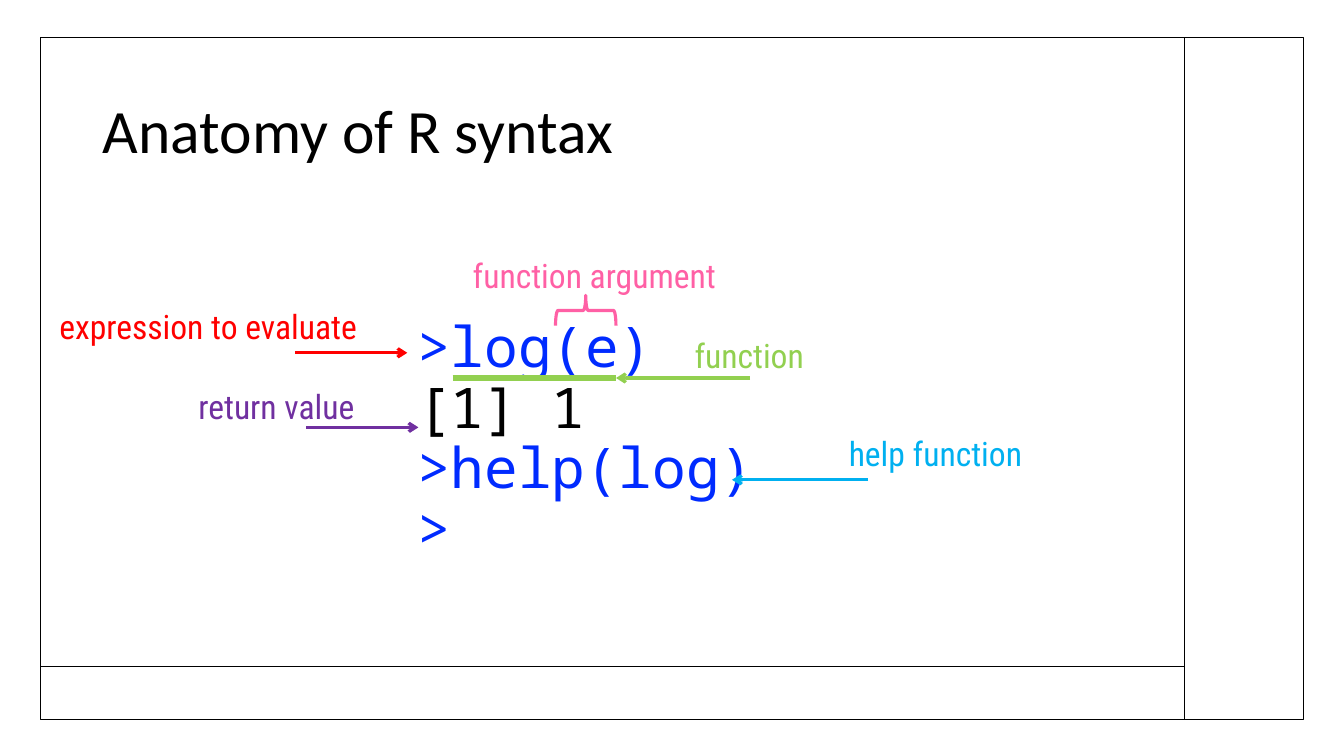
from pptx import Presentation
from pptx.dml.color import RGBColor
from pptx.enum.shapes import MSO_CONNECTOR, MSO_SHAPE
from pptx.enum.text import MSO_ANCHOR, MSO_AUTO_SIZE, PP_ALIGN
from pptx.oxml.ns import qn
from pptx.util import Inches, Pt
from lxml import etree

STRAIGHT = MSO_CONNECTOR.STRAIGHT
RECTANGLE, BRACE = MSO_SHAPE.RECTANGLE, MSO_SHAPE.RIGHT_BRACE
TOP, MIDDLE = MSO_ANCHOR.TOP, MSO_ANCHOR.MIDDLE
LEFT = PP_ALIGN.LEFT
FIXED, GROW = MSO_AUTO_SIZE.NONE, MSO_AUTO_SIZE.SHAPE_TO_FIT_TEXT

BLACK, BLUE, GREEN, RED = "000000", "002BFF", "92D050", "FF0000"
PINK, PURPLE, CYAN = "FF60A5", "7030A0", "00B0F0"
TITLE_FONT, CODE_FONT, LABEL_FONT = "Calibri", "Noto Sans Mono", "Roboto Condensed"


def rgb(value):
    return RGBColor.from_string(value)


class SyntaxSlide:
    def __init__(self, s):
        self.s = s

    def run(self, p, text, font, size, color):
        r = p.add_run()
        r.text = text
        r.font.name = font
        r.font.size = Pt(size)
        r.font.color.rgb = rgb(color)

    def placeholder(self, sp, box, anchor):
        """Move a placeholder and return its left-aligned first paragraph."""
        sp.left, sp.top, sp.width, sp.height = map(Inches, box)
        tf = sp.text_frame
        tf.word_wrap = True
        tf.auto_size = FIXED
        tf.vertical_anchor = anchor
        p = tf.paragraphs[0]
        p.alignment = LEFT
        p.line_spacing = 0.9
        return p

    def title(self, text, box):
        p = self.placeholder(self.s.shapes.title, box, MIDDLE)
        self.run(p, text, TITLE_FONT, 44, BLACK)

    def code(self, lines, box):
        p = self.placeholder(self.s.placeholders[1], box, TOP)
        p.space_before = Pt(10)
        pPr = p._p.get_or_add_pPr()
        pPr.set("marL", "0")
        pPr.set("indent", "0")
        etree.SubElement(pPr, qn("a:buNone"))
        for i, (text, color) in enumerate(lines):
            if i:
                p.add_line_break()
            self.run(p, text, CODE_FONT, 40, color)

    def outline(self, kind, box, color, width, rotation=0):
        sp = self.s.shapes.add_shape(kind, *map(Inches, box))
        sp.shadow.inherit = False
        sp.fill.background()
        sp.line.color.rgb = rgb(color)
        sp.line.width = Pt(width)
        sp.rotation = rotation

    def line(self, start, end, color, width, arrow=False):
        sp = self.s.shapes.add_connector(STRAIGHT, *map(Inches, start + end))
        sp.line.color.rgb = rgb(color)
        sp.line.width = Pt(width)
        if arrow:
            ln = sp.line._get_or_add_ln()
            etree.SubElement(ln, qn("a:tailEnd"), type="arrow")
        etree.SubElement(sp._element.spPr, qn("a:effectLst"))

    def label(self, text, left, top, width, color):
        sp = self.s.shapes.add_textbox(*map(Inches, (left, top, width, 0.5)))
        tf = sp.text_frame
        tf.word_wrap = False
        tf.auto_size = GROW
        self.run(tf.paragraphs[0], text, LABEL_FONT, 24, color)


def main():
    prs = Presentation()
    prs.slide_width, prs.slide_height = Inches(13.33), Inches(7.5)
    slide = SyntaxSlide(prs.slides.add_slide(prs.slide_layouts[1]))

    slide.outline(RECTANGLE, (0.4, 0.37, 12.53, 6.77), BLACK, 1)
    slide.line((11.75, 0.37), (11.75, 7.13), BLACK, 1)
    slide.line((0.41, 6.61), (11.75, 6.61), BLACK, 1)

    slide.title("Anatomy of R syntax", (0.92, 0.6, 10.38, 1.45))
    slide.code([(">log(e)", BLUE), ("[1] 1", BLACK), (">help(log)", BLUE), (">", BLUE)],
               (4.04, 3.12, 4.15, 3.28))

    slide.line((4.49, 3.75), (6.11, 3.75), GREEN, 4.5)
    slide.outline(BRACE, (5.66, 2.78, 0.3, 0.6), PINK, 2.25, rotation=270)
    slide.label("function argument", 4.59, 2.48, 2.67, PINK)

    # text, left, top, width, colour, arrow start x, arrow end x, arrow y
    callouts = [
        ("function", 6.79, 3.27, 1.3, GREEN, 7.44, 6.11, 3.75),
        ("expression to evaluate", 0.49, 2.99, 3.25, RED, 2.93, 4.04, 3.5),
        ("return value", 1.87, 3.78, 1.83, PURPLE, 3.04, 4.15, 4.24),
        ("help function", 8.32, 4.25, 1.96, CYAN, 8.61, 7.26, 4.76),
    ]
    for text, left, top, width, color, start, end, y in callouts:
        slide.line((start, y), (end, y), color, 2.25, arrow=True)
        slide.label(text, left, top, width, color)

    prs.save("out.pptx")


if __name__ == "__main__":
    main()
